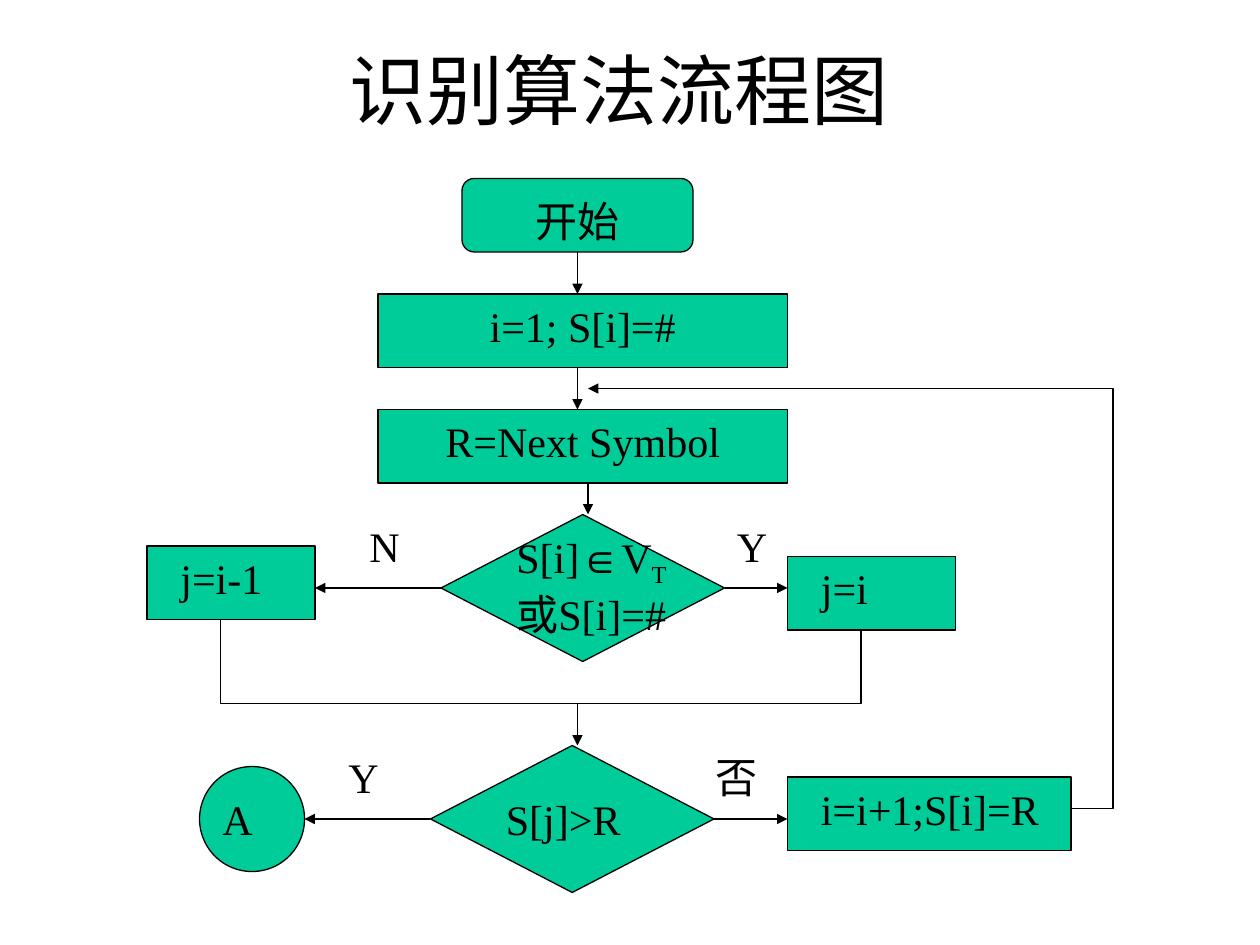
from lxml import etree
from pptx import Presentation
from pptx.dml.color import RGBColor
from pptx.enum.shapes import MSO_CONNECTOR, MSO_SHAPE
from pptx.enum.text import MSO_ANCHOR, MSO_AUTO_SIZE, PP_ALIGN
from pptx.oxml.ns import qn
from pptx.util import Pt

GREEN = RGBColor(0x00, 0xCC, 0x99)
BLACK = RGBColor(0x00, 0x00, 0x00)
FONT = "Times New Roman"
MATH = "Arial"

START = MSO_SHAPE.FLOWCHART_ALTERNATE_PROCESS
STEP = MSO_SHAPE.FLOWCHART_PROCESS
TEST = MSO_SHAPE.FLOWCHART_DECISION
JUMP = MSO_SHAPE.FLOWCHART_CONNECTOR
STRAIGHT = MSO_CONNECTOR.STRAIGHT
LEFT, CENTER = PP_ALIGN.LEFT, PP_ALIGN.CENTER
MIDDLE = MSO_ANCHOR.MIDDLE
GROW = MSO_AUTO_SIZE.SHAPE_TO_FIT_TEXT


def set_line(item, arrow=False):
    """Thin black line, with an optional arrowhead at its end."""
    item.line.color.rgb = BLACK
    item.line.width = Pt(0.75)
    if arrow:
        line = item.line._get_or_add_ln()
        etree.SubElement(line, qn("a:tailEnd"), type="triangle")


def set_font(run, size=24, name=FONT):
    run.font.size = Pt(size)
    run.font.name = name
    run.font.color.rgb = BLACK


def add_node(slide, kind, left, top, width, height):
    node = slide.shapes.add_shape(kind, Pt(left), Pt(top), Pt(width), Pt(height))
    node.shadow.inherit = False
    node.fill.solid()
    node.fill.fore_color.rgb = GREEN
    set_line(node)


def add_text(slide, text, left, top, width, height=36, align=LEFT, size=24):
    box = slide.shapes.add_textbox(Pt(left), Pt(top), Pt(width), Pt(height))
    frame = box.text_frame
    frame.word_wrap = True
    frame.auto_size = GROW
    frame.text = text
    para = frame.paragraphs[0]
    para.alignment = align
    for run in para.runs:
        set_font(run, size)
    return frame


def add_title(slide):
    frame = add_text(slide, "识别算法流程图", 48, 18, 612, 66, CENTER, 44)
    frame.auto_size = MSO_AUTO_SIZE.NONE
    frame.vertical_anchor = MIDDLE


def add_rule(slide, left, top, width, height):
    """Membership test with a math symbol and a subscript."""
    para = add_text(slide, "S[i]", left, top, width, height).paragraphs[0]
    for text, name in (("∈", MATH), ("V", FONT), ("T", FONT), ("或S[i]=#", FONT)):
        run = para.add_run()
        run.text = text
        set_font(run, name=name)
        if text == "T":
            run._r.get_or_add_rPr().set("baseline", "-25000")


def add_arrow(slide, x1, y1, x2, y2):
    arrow = slide.shapes.add_connector(STRAIGHT, Pt(x1), Pt(y1), Pt(x2), Pt(y2))
    set_line(arrow, True)
    etree.SubElement(arrow._element.spPr, qn("a:effectLst"))


def add_route(slide, points, arrow=False):
    """Open line with corners."""
    spots = [(Pt(x), Pt(y)) for x, y in points]
    form = slide.shapes.build_freeform(*spots[0])
    form.add_line_segments(spots[1:], close=False)
    route = form.convert_to_shape()
    route.shadow.inherit = False
    route.fill.background()
    set_line(route, arrow)


def main():
    deck = Presentation()
    deck.slide_width, deck.slide_height = Pt(720), Pt(540)
    slide = deck.slides.add_slide(deck.slide_layouts[6])
    add_title(slide)

    # Start and the two steps below it
    add_node(slide, START, 264, 102, 132, 42)
    add_text(slide, "开始", 270, 108, 120, align=CENTER)
    for top, text in ((168, "i=1; S[i]=#"), (234, "R=Next Symbol")):
        add_node(slide, STEP, 216, top, 234, 42)
        add_text(slide, text, 222, top, 222, align=CENTER)

    # Decisions
    add_node(slide, TEST, 252, 294, 162, 84)
    add_rule(slide, 288, 300, 108, 69)
    add_node(slide, TEST, 246, 426, 162, 84)
    add_text(slide, "S[j]>R", 282, 450, 120)

    # Steps beside the decisions: left, top, width, text width
    for left, top, width, room, text in (
        (84, 312, 96, 114, "j=i-1"),
        (450, 318, 96, 60, "j=i"),
        (450, 444, 162, 150, "i=i+1;S[i]=R"),
    ):
        add_node(slide, STEP, left, top, width, 42)
        add_text(slide, text, left + 12, top, room)

    # Jump to the next part
    add_node(slide, JUMP, 114, 438, 60, 60)
    add_text(slide, "A", 120, 450, 54)

    # Arrows down the middle
    for x, top, end in ((330, 144, 168), (330, 210, 234),
                        (336, 276, 294), (330, 402, 426)):
        add_arrow(slide, x, top, x, end)

    # Arrows out of the decisions
    for y, start, end in ((336, 252, 180), (336, 414, 450),
                          (468, 246, 174), (468, 408, 450)):
        add_arrow(slide, start, y, end, y)

    # Branches join, and the loop goes back
    add_route(slide, [(126, 354), (126, 402), (492, 402), (492, 360)])
    add_route(slide, [(612, 462), (636, 462), (636, 222), (336, 222)], True)

    # Branch labels
    for text, left, top, width in (("N", 204, 294, 48), ("Y", 414, 294, 36),
                                   ("Y", 192, 426, 36), ("否", 402, 426, 48)):
        add_text(slide, text, left, top, width)

    deck.save("out.pptx")


if __name__ == "__main__":
    main()
